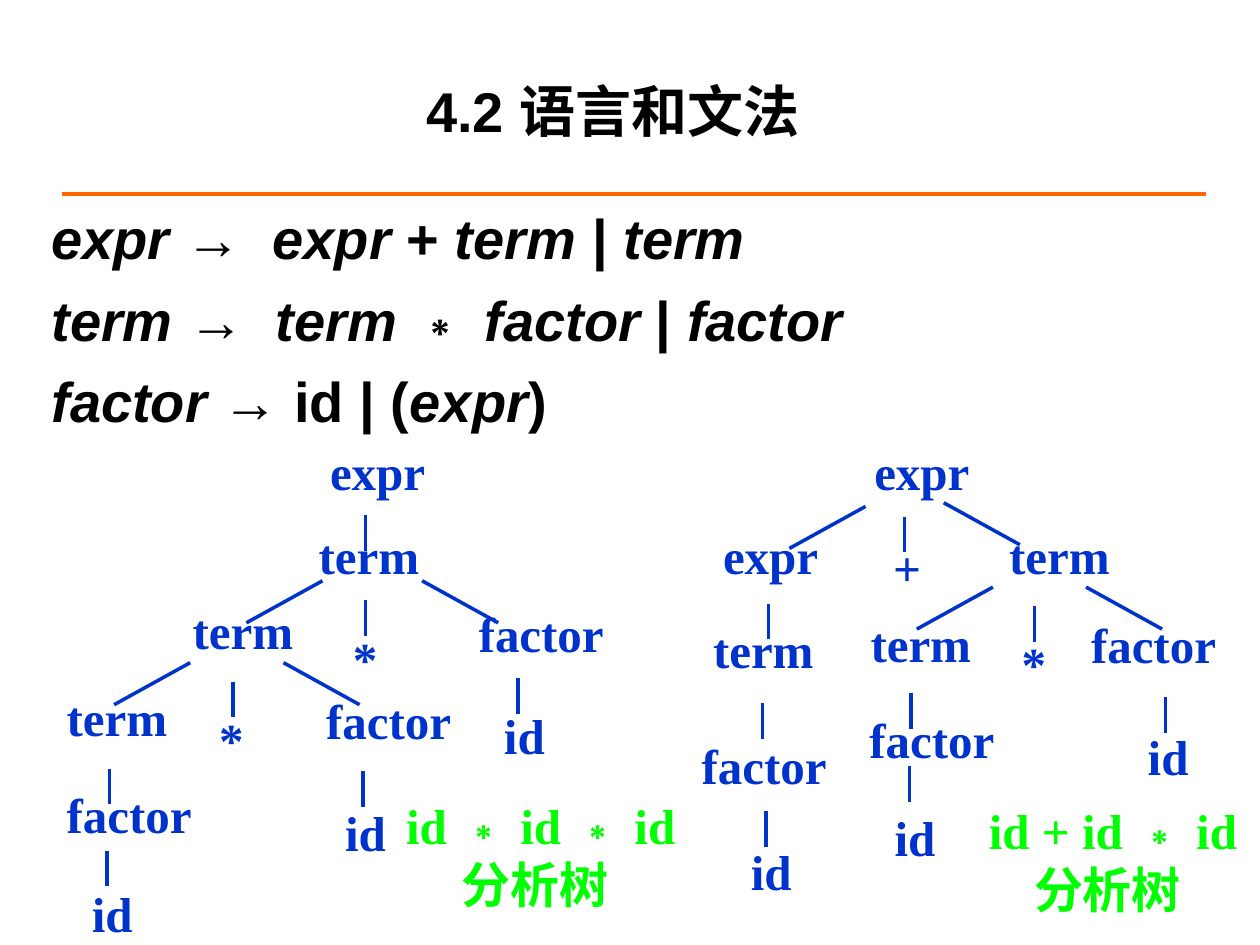
from dataclasses import dataclass

from lxml.etree import SubElement
from pptx import Presentation
from pptx.dml.color import RGBColor
from pptx.enum.shapes import MSO_CONNECTOR
from pptx.enum.text import MSO_ANCHOR, MSO_AUTO_SIZE, PP_ALIGN
from pptx.oxml.ns import qn
from pptx.util import Pt


@dataclass(frozen=True)
class Theme:
    black: RGBColor = RGBColor(0x00, 0x00, 0x00)
    blue: RGBColor = RGBColor(0x00, 0x33, 0xCC)
    green: RGBColor = RGBColor(0x00, 0xFF, 0x00)
    orange: RGBColor = RGBColor(0xFF, 0x66, 0x00)
    sans: str = "Arial"
    serif: str = "Times New Roman"
    chinese: str = "Noto Sans CJK SC"
    large: int = 32
    medium: int = 28


THEME = Theme()

NODE_WIDTHS = {"expr": 60, "term": 66, "factor": 78, "id": 30, "*": 30, "+": 30}

# Branch direction: horizontal and vertical extent
BRANCHES = {"down": (0, 20.5), "left": (-43.5, 24), "right": (43.5, 24)}

PRODUCT_NODES = [
    ("expr", 187.2, 251.3),
    ("term", 180.7, 299.5),
    ("term", 108.7, 342.7), ("*", 200.2, 358.6), ("factor", 272.2, 344.2),
    ("term", 36.7, 392.4), ("*", 123.8, 404.6), ("factor", 185, 393.8),
    ("id", 286.6, 402.5),
    ("factor", 36.7, 447.8), ("id", 195.8, 457.9),
    ("id", 51.1, 504),
]
PRODUCT_BRANCHES = [
    ("down", 208.8, 294.5),
    ("left", 184.3, 331.9), ("down", 208.8, 342.7), ("right", 241.2, 331.9),
    ("left", 108.7, 378.7), ("down", 133.2, 389.5), ("right", 162, 378.7),
    ("down", 295.9, 387.4),
    ("down", 62.6, 439.2), ("down", 207.4, 440.6),
    ("down", 61.2, 486),
]
SUM_NODES = [
    ("expr", 498.2, 251.3),
    ("expr", 411.8, 299.5), ("+", 509, 306.7), ("term", 575.3, 299.5),
    ("term", 406.1, 353.5), ("term", 496.1, 349.9), ("*", 582.5, 361.4),
    ("factor", 622.1, 350.6),
    ("factor", 399.6, 419.8), ("factor", 495.4, 404.6), ("id", 654.5, 414.7),
    ("id", 427.7, 480.2), ("id", 509.8, 460.8),
]
SUM_BRANCHES = [
    ("left", 494.6, 289.4), ("down", 517, 295.2), ("right", 539.3, 287.3),
    ("down", 439.2, 344.9),
    ("left", 567.4, 335.5), ("down", 591.1, 346.3), ("right", 620.6, 335.5),
    ("down", 435.6, 401.8), ("down", 520.6, 396), ("down", 666, 398.2),
    ("down", 437.8, 463.7), ("down", 519.8, 437.8),
]

GRAMMAR = [
    [("expr ", True), ("→  ", False), ("expr", True), (" + ", False),
     ("term", True), (" | ", False), ("term", True)],
    [("term ", True), ("→  ", False), ("term ", True), ("∗ ", False),
     ("factor", True), (" | ", False), ("factor", True)],
    [("factor ", True), ("→ id | (", False), ("expr", True), (")", False)],
]


def write(paragraph, text, font=THEME.serif, size=THEME.medium,
          color=THEME.blue, italic=False):
    """Append one bold run to the paragraph."""
    run = paragraph.add_run()
    run.text = text
    run.font.name = font
    run.font.size = Pt(size)
    run.font.bold = True
    run.font.italic = italic
    run.font.color.rgb = color
    if font == THEME.chinese:
        SubElement(run.font._element, qn("a:ea"), typeface=font)


def add_text_frame(shapes, left, top, width, height, insets=(7.2, 3.6), wrap=True):
    box = shapes.add_textbox(Pt(left), Pt(top), Pt(width), Pt(height))
    frame = box.text_frame
    frame.word_wrap = wrap
    frame.margin_left = frame.margin_right = Pt(insets[0])
    frame.margin_top = frame.margin_bottom = Pt(insets[1])
    return frame


def add_line(shapes, left, top, right, bottom, color=THEME.blue, width=2):
    line = shapes.add_connector(
        MSO_CONNECTOR.STRAIGHT, Pt(left), Pt(top), Pt(right), Pt(bottom))
    line.line.color.rgb = color
    line.line.width = Pt(width)
    SubElement(line._element.spPr, qn("a:effectLst"))


def add_title(slide):
    title = slide.shapes.title
    title.left, title.top, title.width, title.height = Pt(48), Pt(18), Pt(612), Pt(90)
    frame = title.text_frame
    frame.auto_size = MSO_AUTO_SIZE.NONE
    frame.vertical_anchor = MSO_ANCHOR.MIDDLE
    paragraph = frame.paragraphs[0]
    paragraph.alignment = PP_ALIGN.CENTER
    for text, font in (("4.2 ", THEME.sans), ("语言和文法 ", THEME.chinese)):
        write(paragraph, text, font=font, size=THEME.large, color=THEME.black)


def add_grammar(slide):
    frame = add_text_frame(slide.shapes, 22.3, 113, 674.6, 396.7)
    for index, production in enumerate(GRAMMAR):
        paragraph = frame.add_paragraph() if index else frame.paragraphs[0]
        if index:
            paragraph.space_before = Pt(8)
        for text, italic in production:
            write(paragraph, text, font=THEME.sans, size=THEME.large,
                  color=THEME.black, italic=italic)


def add_parse_tree(slide, nodes, branches):
    shapes = slide.shapes.add_group_shape().shapes
    for direction, left, top in branches:
        across, down = BRANCHES[direction]
        add_line(shapes, left, top, left + across, top + down)
    for symbol, left, top in nodes:
        height = 40 if len(symbol) > 2 else 36
        frame = add_text_frame(shapes, left, top, NODE_WIDTHS[symbol], height,
                               insets=(1.4, 0.7))
        write(frame.paragraphs[0], symbol)


def add_caption(slide, sentence, left, top, width, height):
    """Name the sentence a tree derives, with the Chinese label below it."""
    frame = add_text_frame(slide.shapes, left, top, width, height, wrap=False)
    frame.vertical_anchor = MSO_ANCHOR.MIDDLE
    first, second = frame.paragraphs[0], frame.add_paragraph()
    first.alignment = second.alignment = PP_ALIGN.CENTER
    for text in sentence:
        font = THEME.sans if text == "∗" else THEME.serif
        write(first, text, font=font, color=THEME.green)
    write(second, "分析树 ", font=THEME.chinese, color=THEME.green)


def main():
    presentation = Presentation()
    presentation.slide_width, presentation.slide_height = Pt(720), Pt(540)
    slide = presentation.slides.add_slide(presentation.slide_layouts[5])
    add_line(slide.shapes, 35.4, 110.8, 689, 110.8, color=THEME.orange, width=2.25)
    add_title(slide)
    add_grammar(slide)
    add_parse_tree(slide, PRODUCT_NODES, PRODUCT_BRANCHES)
    add_parse_tree(slide, SUM_NODES, SUM_BRANCHES)
    add_caption(slide, ["id + id ", "∗", " id"], 554, 457.2, 164, 67.7)
    add_caption(slide, ["id ", "∗", " id ", "∗", " id"], 219, 451.4, 180, 73.4)
    presentation.save("out.pptx")


if __name__ == "__main__":
    main()
